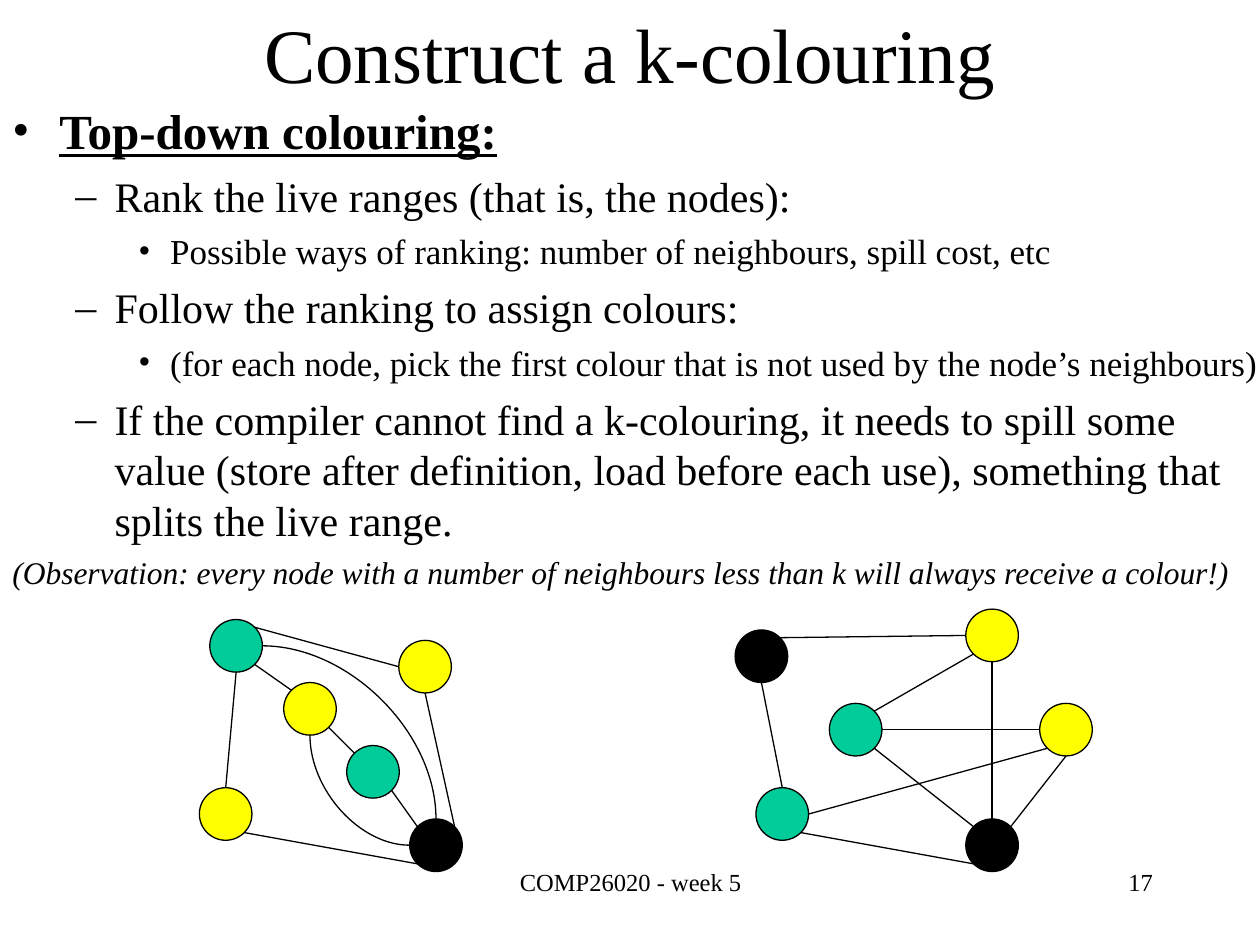
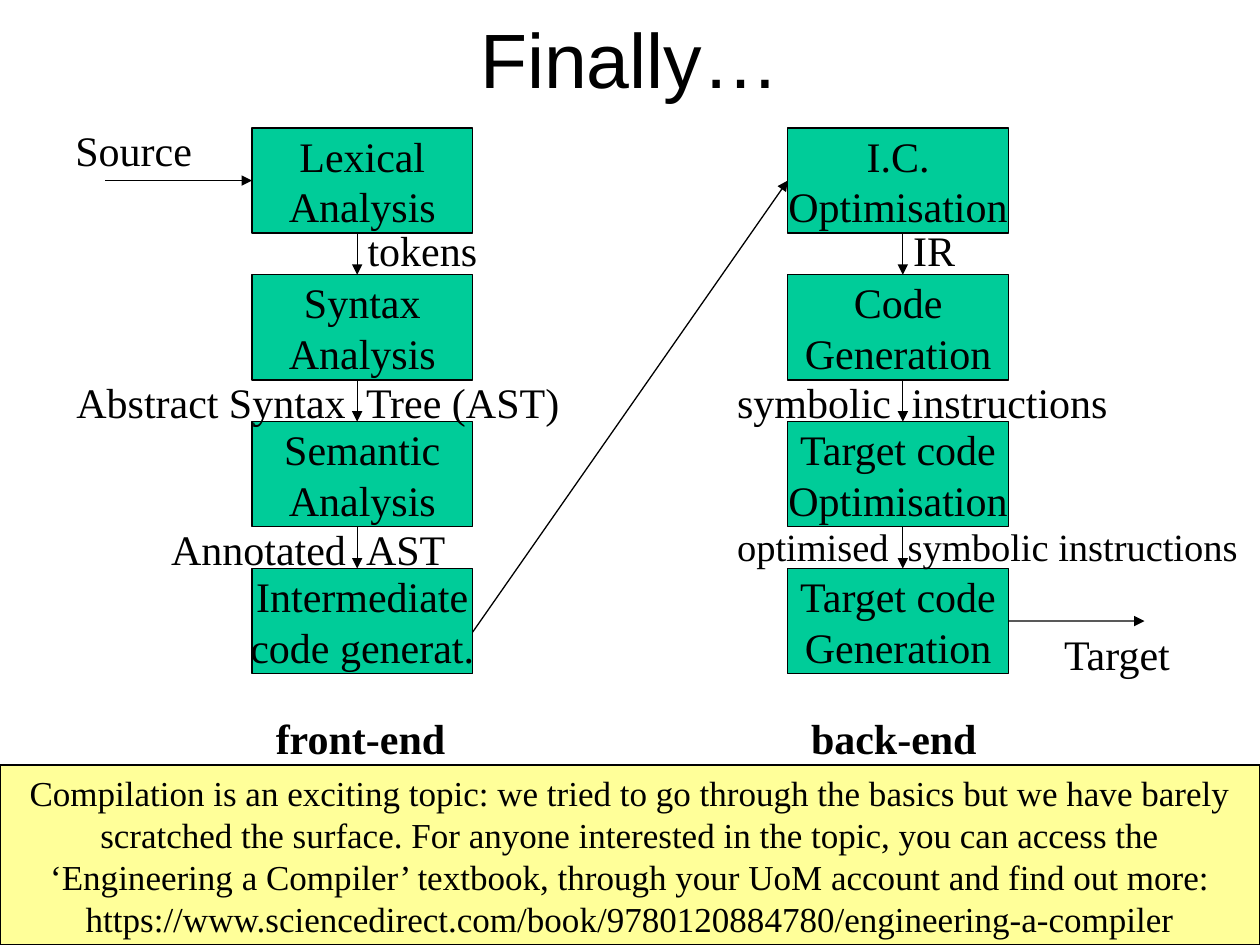
from dataclasses import dataclass
from math import cos, radians, sin
from typing import NamedTuple

from lxml import etree
from pptx import Presentation
from pptx.dml.color import RGBColor
from pptx.enum.shapes import MSO_CONNECTOR, MSO_SHAPE
from pptx.enum.text import MSO_ANCHOR, PP_ALIGN
from pptx.oxml.ns import qn
from pptx.shapes.autoshape import Shape
from pptx.shapes.connector import Connector
from pptx.slide import Slide
from pptx.util import Cm, Pt

STRAIGHT, CURVE = MSO_CONNECTOR.STRAIGHT, MSO_CONNECTOR.CURVE
OVAL, RECTANGLE = MSO_SHAPE.OVAL, MSO_SHAPE.RECTANGLE
LEFT, CENTER, RIGHT = PP_ALIGN.LEFT, PP_ALIGN.CENTER, PP_ALIGN.RIGHT
TOP, MIDDLE = MSO_ANCHOR.TOP, MSO_ANCHOR.MIDDLE
LEFT_SIDE, RIGHT_SIDE = 1, 3

BLACK, GREEN, YELLOW, PALE_YELLOW = "000000", "00CC99", "FFFF00", "FFFF99"
SERIF, SANS = "Times New Roman", "Arial"
SLIDE_WIDTH, SLIDE_HEIGHT = 25.4, 19.05
LINE_WIDTH = 0.75
INSET = 0.25

# Slide 1
NODE_SIZE = 1.06
COMPASS = {"E": 0, "SE": 45, "S": 90, "SW": 135, "W": 180, "NW": 225, "N": 270, "NE": 315}

# Slide 2
STAGE_WIDTH, STAGE_HEIGHT = 4.45, 2.12
STAGE_TOP, STAGE_PITCH = 2.58, 2.96
ARROW_GAP = 0.18


class Area(NamedTuple):
    """A rectangle in centimetres."""
    left: float
    top: float
    width: float
    height: float


class Point(NamedTuple):
    x: float
    y: float


class Edge(NamedTuple):
    start: str
    start_side: str
    end: str
    end_side: str
    curved: bool = False


@dataclass(frozen=True)
class Node:
    left: float
    top: float
    color: str

    def rim(self, side: str) -> Point:
        angle, radius = radians(COMPASS[side]), NODE_SIZE / 2
        return Point(self.left + radius * (1 + cos(angle)), self.top + radius * (1 + sin(angle)))


@dataclass(frozen=True)
class ListLevel:
    bullet: str
    margin: float
    hanging: float
    size: float
    space_before: float


@dataclass(frozen=True)
class Column:
    left: float
    arrow_x: float
    stages: tuple[str, ...]


@dataclass(frozen=True)
class Label:
    """Text beside an arrow; a tab in it jumps over the arrow at arrow_x."""
    text: str
    left: float
    top: float
    width: float = 4
    arrow_x: float = 0
    size: float = 24
    bold: bool = False


HEADING = ListLevel("•", 0.95, 0.95, 28, 0)
POINT = ListLevel("–", 2.06, 0.79, 24, 6)
DETAIL = ListLevel("•", 3.18, 0.64, 20, 5)
REMARK = ListLevel("", 0.95, 0.95, 18, 4.5)

COLOURING_STEPS = [
    (HEADING, "Top-down colouring:"),
    (POINT, "Rank the live ranges (that is, the nodes):"),
    (DETAIL, "Possible ways of ranking: number of neighbours, spill cost, etc"),
    (POINT, "Follow the ranking to assign colours:"),
    (DETAIL, "(for each node, pick the first colour that is not used by the node’s neighbours)"),
    (POINT, "If the compiler cannot find a k-colouring, it needs to spill some value (store after "
            "definition, load before each use), something that splits the live range."),
    (REMARK, "(Observation: every node with a number of neighbours less than k will always "
             "receive a colour!)"),
]

LEFT_NODES = {
    "top": Node(4.23, 12.49, GREEN),
    "low": Node(4.02, 15.88, YELLOW),
    "right": Node(8.04, 12.91, YELLOW),
    "upper middle": Node(5.72, 13.76, YELLOW),
    "corner": Node(8.26, 16.51, BLACK),
    "lower middle": Node(6.99, 15.03, GREEN),
}
LEFT_EDGES = [
    Edge("top", "S", "low", "N"),
    Edge("top", "NE", "right", "W"),
    Edge("top", "SE", "upper middle", "NW"),
    Edge("right", "S", "corner", "NE"),
    Edge("low", "SE", "corner", "SW"),
    Edge("upper middle", "SE", "lower middle", "NW"),
    Edge("lower middle", "SE", "corner", "NW"),
    Edge("corner", "W", "upper middle", "S", curved=True),
    Edge("top", "E", "corner", "N", curved=True),
]
RIGHT_NODES = {
    "first": Node(14.82, 12.7, BLACK),
    "low": Node(15.24, 15.88, GREEN),
    "top": Node(19.47, 12.28, YELLOW),
    "middle": Node(16.72, 14.18, GREEN),
    "corner": Node(19.47, 16.51, BLACK),
    "right": Node(20.96, 14.18, YELLOW),
}
RIGHT_EDGES = [
    Edge("first", "S", "low", "N"),
    Edge("first", "NE", "top", "W"),
    Edge("top", "S", "corner", "N"),
    Edge("low", "SE", "corner", "SW"),
    Edge("middle", "E", "right", "W"),
    Edge("right", "S", "corner", "NE"),
    Edge("low", "E", "right", "SW"),
    Edge("middle", "NE", "top", "SW"),
    Edge("middle", "SE", "corner", "NW"),
]

FRONT_END = Column(5.08, 7.2, ("Lexical\nAnalysis", "Syntax\nAnalysis", "Semantic\nAnalysis",
                               "Intermediate\ncode generat."))
BACK_END = Column(15.88, 18.2, ("I.C.\nOptimisation", "Code\nGeneration",
                                "Target code\nOptimisation", "Target code\nGeneration"))
LABELS = [
    Label("tokens", 7.16, 4.41),
    Label("Annotated\tAST", 3.2, 10.43, 6.5, FRONT_END.arrow_x),
    Label("Abstract Syntax\tTree (AST)", 1.29, 7.46, 10.7, FRONT_END.arrow_x),
    Label("IR", 18.16, 4.41),
    Label("symbolic\tinstructions", 14.61, 7.46, 8.5, BACK_END.arrow_x),
    Label("optimised\tsymbolic instructions", 14.61, 10.41, 10.79, BACK_END.arrow_x - 0.08, 22),
    Label("front-end", 5.31, 14.24, bold=True),
    Label("back-end", 16.1, 14.24, bold=True),
    Label("Source", 1.27, 2.38),
    Label("Target", 21.2, 12.54),
]
CLOSING_NOTE = (
    "Compilation is an exciting topic: we tried to go through the basics but we have barely "
    "scratched the surface. For anyone interested in the topic, you can access the ‘Engineering "
    "a Compiler’ textbook, through your UoM account and find out more: "
    "https://www.sciencedirect.com/book/9780120884780/engineering-a-compiler"
)


def rgb(color: str) -> RGBColor:
    return RGBColor.from_string(color)


def style_font(para, size: float, name: str = SERIF, bold: bool = False) -> None:
    para.font.name, para.font.size, para.font.bold = name, Pt(size), bold
    para.font.color.rgb = rgb(BLACK)


def fill_text(box: Shape, text: str, size: float, align: PP_ALIGN, anchor: MSO_ANCHOR = TOP,
              name: str = SERIF, bold: bool = False, wrap: bool = True,
              tab_stop: float = 0) -> None:
    frame = box.text_frame
    frame.word_wrap, frame.vertical_anchor = wrap, anchor
    frame.text = text
    for para in frame.paragraphs:
        para.alignment = align
        if tab_stop:
            tabs = etree.SubElement(para._p.get_or_add_pPr(), qn("a:tabLst"))
            etree.SubElement(tabs, qn("a:tab"), pos=str(Cm(tab_stop)), algn="l")
        style_font(para, size, name, bold)


def add_box(page: Slide, area: Area) -> Shape:
    return page.shapes.add_textbox(*map(Cm, area))


def add_title(page: Slide, text: str, area: Area, name: str) -> None:
    fill_text(add_box(page, area), text, 44, CENTER, MIDDLE, name)


def add_outlined(page: Slide, kind: MSO_SHAPE, area: Area, color: str) -> Shape:
    shape = page.shapes.add_shape(kind, *map(Cm, area))
    shape.shadow.inherit = False
    shape.fill.solid()
    shape.fill.fore_color.rgb = rgb(color)
    shape.line.color.rgb = rgb(BLACK)
    shape.line.width = Pt(LINE_WIDTH)
    return shape


def add_line(page: Slide, start: Point, end: Point, curved: bool = False,
             arrow: bool = False) -> Connector:
    line = page.shapes.add_connector(CURVE if curved else STRAIGHT, *map(Cm, start + end))
    line.line.color.rgb = rgb(BLACK)
    line.line.width = Pt(LINE_WIDTH)
    properties = line._element.spPr
    if curved:
        properties.find(qn("a:prstGeom")).set("prst", "curvedConnector2")
    if arrow:
        etree.SubElement(properties.find(qn("a:ln")), qn("a:tailEnd"), type="triangle")
    etree.SubElement(properties, qn("a:effectLst"))
    return line


def add_steps(page: Slide) -> None:
    frame = add_box(page, Area(0, 1.91, 25.7, 10.8)).text_frame
    frame.word_wrap = True
    for index, (level, text) in enumerate(COLOURING_STEPS):
        para = frame.add_paragraph() if index else frame.paragraphs[0]
        para.text = text
        para.space_before = Pt(level.space_before)
        properties = para._p.get_or_add_pPr()
        properties.set("marL", str(Cm(level.margin)))
        properties.set("indent", str(-Cm(level.hanging)))
        if level.bullet:
            etree.SubElement(properties, qn("a:buFont"), typeface=SERIF)
            etree.SubElement(properties, qn("a:buChar"), char=level.bullet)
        style_font(para, level.size, bold=level is HEADING)
        para.font.underline = level is HEADING
        para.font.italic = level is REMARK


def add_graph(page: Slide, nodes: dict[str, Node], edges: list[Edge]) -> None:
    for node in nodes.values():
        add_outlined(page, OVAL, Area(node.left, node.top, NODE_SIZE, NODE_SIZE), node.color)
    for edge in edges:
        add_line(page, nodes[edge.start].rim(edge.start_side),
                 nodes[edge.end].rim(edge.end_side), edge.curved)


def add_column(page: Slide, column: Column) -> list[Shape]:
    boxes = []
    for row, text in enumerate(column.stages):
        top = STAGE_TOP + row * STAGE_PITCH
        box = add_outlined(page, RECTANGLE, Area(column.left, top, STAGE_WIDTH, STAGE_HEIGHT), GREEN)
        fill_text(box, text, 24, CENTER, MIDDLE, wrap=False)
        boxes.append(box)
        if row:
            add_line(page, Point(column.arrow_x, top - STAGE_PITCH + STAGE_HEIGHT),
                     Point(column.arrow_x, top), arrow=True)
    return boxes


def add_label(page: Slide, label: Label) -> None:
    box = add_box(page, Area(label.left, label.top, label.width, 1.27))
    tab_stop = label.arrow_x + ARROW_GAP - label.left - INSET if label.arrow_x else 0
    fill_text(box, label.text, label.size, LEFT, bold=label.bold, tab_stop=tab_stop)


def build_colouring(page: Slide) -> None:
    fill_text(add_box(page, Area(8.69, 17.35, 8.05, 1.27)), "COMP26020 - week 5", 14, CENTER)
    fill_text(add_box(page, Area(18.21, 17.35, 5.28, 1.27)), "17", 14, RIGHT)
    add_title(page, "Construct a k-colouring", Area(1.91, 0, 21.59, 2.12), SERIF)
    add_steps(page)
    add_graph(page, LEFT_NODES, LEFT_EDGES)
    add_graph(page, RIGHT_NODES, RIGHT_EDGES)


def build_pipeline(page: Slide) -> None:
    add_title(page, "Finally…", Area(0, 0.21, SLIDE_WIDTH, 1.91), SANS)
    front, back = add_column(page, FRONT_END), add_column(page, BACK_END)
    first_middle = STAGE_TOP + STAGE_HEIGHT / 2
    last_middle = first_middle + 3 * STAGE_PITCH
    front_right, back_right = FRONT_END.left + STAGE_WIDTH, BACK_END.left + STAGE_WIDTH

    source = add_line(page, Point(2.12, first_middle), Point(FRONT_END.left, first_middle), arrow=True)
    source.end_connect(front[0], LEFT_SIDE)
    target = add_line(page, Point(back_right, last_middle), Point(23.07, last_middle), arrow=True)
    target.begin_connect(back[-1], RIGHT_SIDE)
    handover = add_line(page, Point(front_right, 12.74), Point(BACK_END.left, first_middle), arrow=True)
    handover.end_connect(back[0], LEFT_SIDE)

    for label in LABELS:
        add_label(page, label)
    note_top = 15.42
    note = add_outlined(page, RECTANGLE, Area(0, note_top, SLIDE_WIDTH, SLIDE_HEIGHT - note_top),
                        PALE_YELLOW)
    fill_text(note, CLOSING_NOTE, 20, CENTER)


def main() -> None:
    deck = Presentation()
    deck.slide_width, deck.slide_height = Cm(SLIDE_WIDTH), Cm(SLIDE_HEIGHT)
    for build in (build_colouring, build_pipeline):
        build(deck.slides.add_slide(deck.slide_layouts[6]))
    deck.save("out.pptx")


if __name__ == "__main__":
    main()
